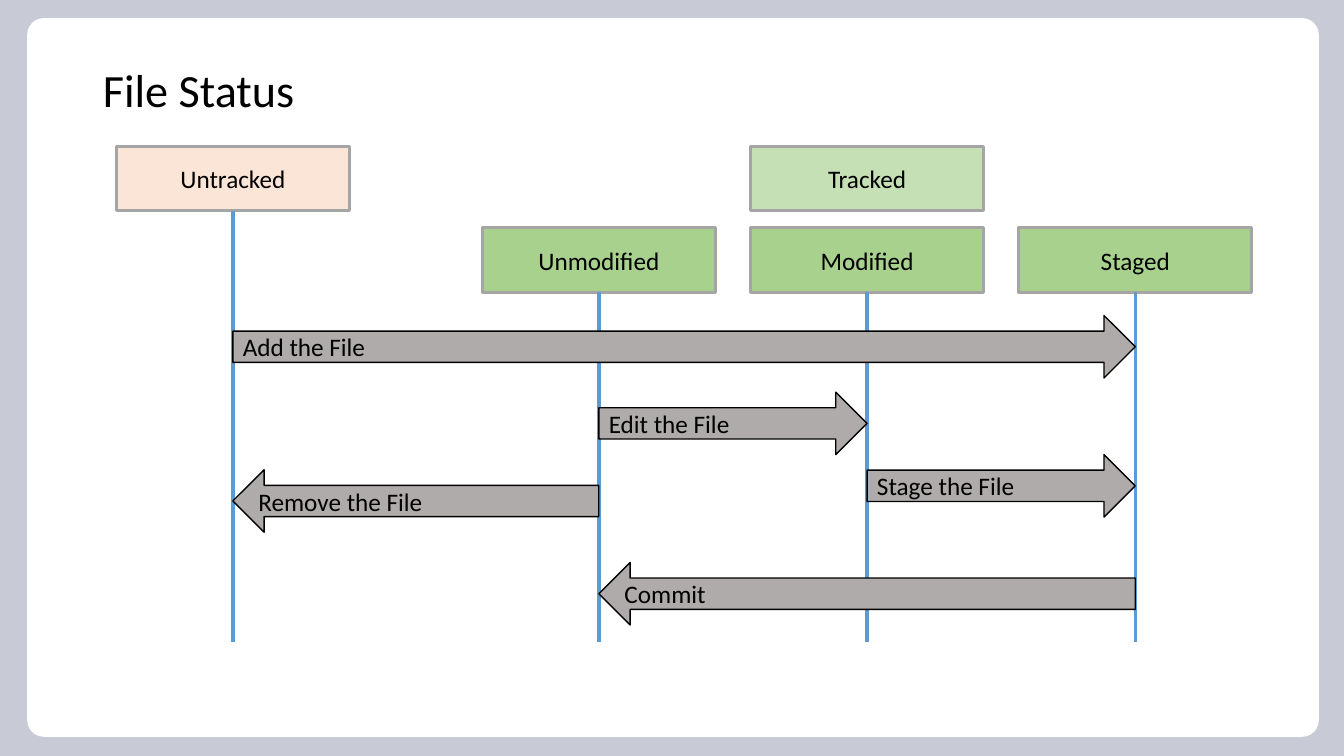
from lxml import etree
from pptx import Presentation
from pptx.dml.color import RGBColor
from pptx.enum.shapes import MSO_CONNECTOR, MSO_SHAPE
from pptx.enum.text import MSO_ANCHOR, MSO_AUTO_SIZE, PP_ALIGN
from pptx.oxml.ns import qn
from pptx.util import Inches, Pt

RECT = MSO_SHAPE.RECTANGLE
ROUND = MSO_SHAPE.ROUNDED_RECTANGLE
ARROW = MSO_SHAPE.RIGHT_ARROW
LINE = MSO_CONNECTOR.STRAIGHT
LEFT, CENTER = PP_ALIGN.LEFT, PP_ALIGN.CENTER
MIDDLE = MSO_ANCHOR.MIDDLE
NO_FIT = MSO_AUTO_SIZE.NONE

WIDTH, HEIGHT = 13.33, 7.5
TITLE_ONLY = 5
BOTTOM = 2

# Lane centres, box rows and sizes in inches
STEP = 2.66
LANES = {"Untracked": 2.31}
LANES.update((name, 5.94 + i * STEP)
             for i, name in enumerate(("Unmodified", "Modified", "Staged")))
ROWS = (1.45, 2.26)
BOX_W, BOX_H = 2.31, 0.64
ARROW_H = 0.62
LANE_END = 6.37

# Name, lane, row, fill
BOXES = (
    ("Untracked", "Untracked", 0, "FBE5D6"),
    ("Tracked", "Modified", 0, "C5E0B4"),
    ("Unmodified", "Unmodified", 1, "A9D18E"),
    ("Modified", "Modified", 1, "A9D18E"),
    ("Staged", "Staged", 1, "A9D18E"),
)

# Text, start lane, end lane, top
MOVES = (
    ("Add the File", "Untracked", "Staged", 3.13),
    ("Edit the File", "Unmodified", "Modified", 3.89),
    ("Stage the File", "Modified", "Staged", 4.51),
    ("Remove the File", "Unmodified", "Untracked", 4.66),
    ("Commit", "Staged", "Unmodified", 5.58),
)


def color(code):
    return RGBColor.from_string(code)


def write(shape, text, size=18, align=CENTER, space=1.0):
    frame = shape.text_frame
    frame.word_wrap = True
    frame.auto_size = NO_FIT
    frame.vertical_anchor = MIDDLE
    para = frame.paragraphs[0]
    para.alignment = align
    para.line_spacing = space
    run = para.add_run()
    run.text = text
    run.font.name = "Calibri"
    run.font.size = Pt(size)
    run.font.color.rgb = color("000000")


def draw(slide, kind, left, top, width, height, fill, line=None, weight=1):
    shape = slide.shapes.add_shape(
        kind, Inches(left), Inches(top), Inches(width), Inches(height))
    shape.shadow.inherit = False
    shape.fill.solid()
    shape.fill.fore_color.rgb = color(fill)
    if line:
        shape.line.color.rgb = color(line)
        shape.line.width = Pt(weight)
    else:
        shape.line.fill.background()
    return shape


def add_panel(slide):
    back = slide.background.fill
    back.solid()
    back.fore_color.rgb = color("C8CAD5")
    panel = draw(slide, ROUND, 0.27, 0.18, 12.81, 7.13, "FFFFFF")
    panel.adjustments[0] = 0.023
    # Send the panel behind the title
    slide.shapes.title.element.addprevious(panel.element)


def add_title(slide, text):
    title = slide.shapes.title
    title.left, title.top = Inches(0.92), Inches(0.19)
    title.width, title.height = Inches(11.5), Inches(1.45)
    write(title, text, size=33, align=LEFT, space=0.9)


def add_box(slide, name, lane, row, fill):
    box = draw(slide, RECT, LANES[lane] - BOX_W / 2, ROWS[row],
               BOX_W, BOX_H, fill, line="A5A5A5", weight=2)
    write(box, name)
    return box


def add_lane(slide, box, mid):
    x, end = Inches(mid), Inches(LANE_END)
    lane = slide.shapes.add_connector(LINE, x, box.top + box.height, x, end)
    lane.begin_connect(box, BOTTOM)
    lane.end_x = lane.begin_x
    lane.line.color.rgb = color("5B9BD5")
    lane.line.width = Pt(2.5)
    etree.SubElement(lane.element.spPr, qn("a:effectLst"))


def add_move(slide, text, start, end, top):
    begin, stop = LANES[start], LANES[end]
    arrow = draw(slide, ARROW, min(begin, stop), top, abs(stop - begin),
                 ARROW_H, "AFABAB", line="000000")
    if stop < begin:
        arrow.element.spPr.xfrm.set("flipH", "1")
    write(arrow, text, align=LEFT)


def main():
    deck = Presentation()
    deck.slide_width, deck.slide_height = Inches(WIDTH), Inches(HEIGHT)
    slide = deck.slides.add_slide(deck.slide_layouts[TITLE_ONLY])

    # Frame and title
    add_panel(slide)
    add_title(slide, "File Status")

    # States and their lifelines
    boxes = {item[0]: add_box(slide, *item) for item in BOXES}
    for name, mid in LANES.items():
        add_lane(slide, boxes[name], mid)

    # Moves between states
    for move in MOVES:
        add_move(slide, *move)

    deck.save("out.pptx")


if __name__ == "__main__":
    main()
